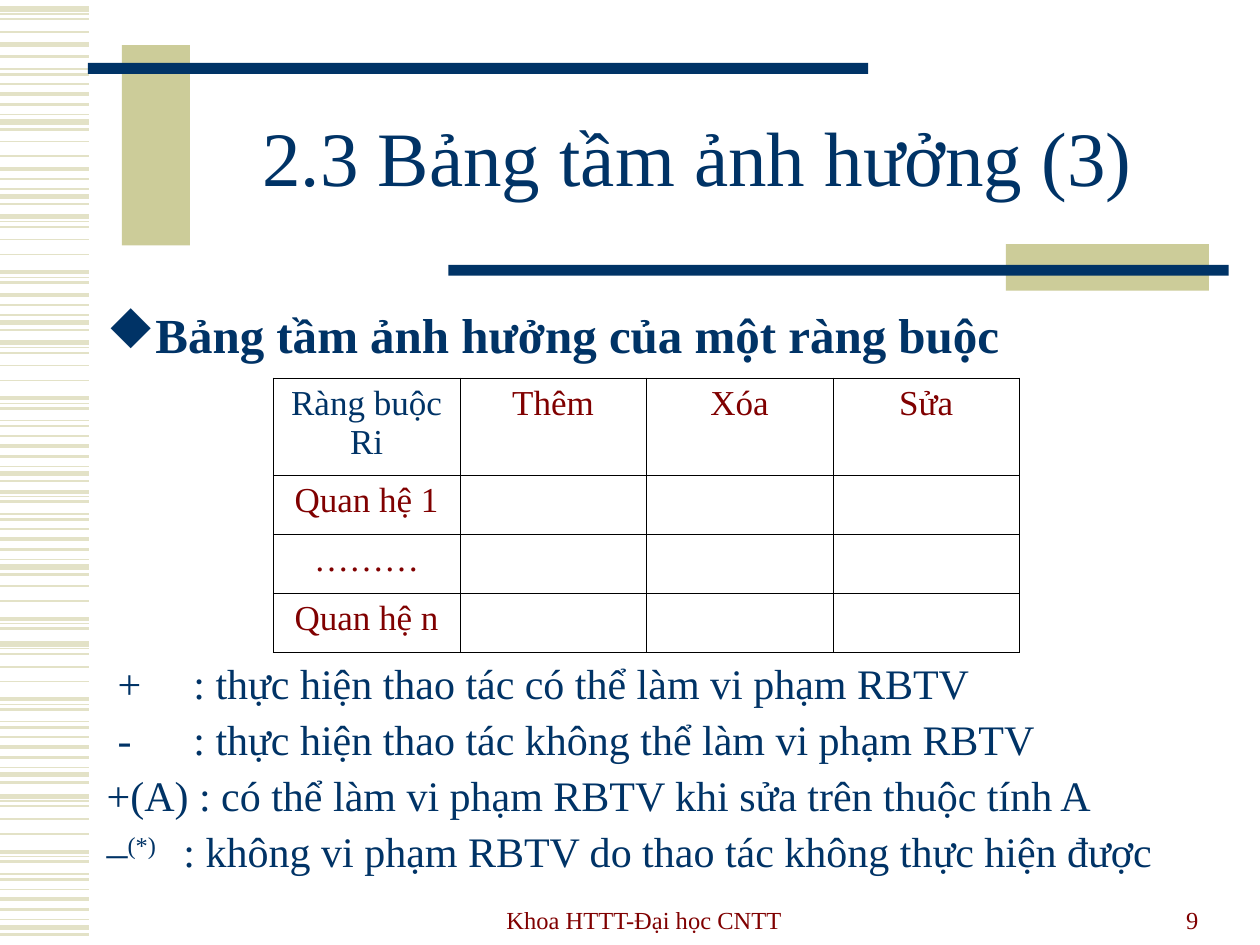
import pptx
import pptx.util
import pptx.dml.color
import pptx.enum.shapes
import pptx.enum.text
import pptx.oxml.ns
from lxml import etree

Cm = pptx.util.Cm
Pt = pptx.util.Pt
ALIGN = pptx.enum.text.PP_ALIGN
ANCHOR = pptx.enum.text.MSO_ANCHOR
FONT = "Times New Roman"
NAVY, MAROON, KHAKI, PALE, BLACK = "003366", "800000", "CCCC99", "E3E2C7", "000000"

STRIPES = [(0, 3), (0.1, 0.75), (0.2, 1), (0.46, 1), (0.76, 1), (1.12, 2.25),
           (1.22, 0.75), (1.32, 1.5), (1.57, 0.75), (1.68, 1.5), (1.88, 1),
           (2.08, 2.25), (2.29, 1.5), (2.49, 0.75), (2.64, 3), (2.79, 1.5)]
STRIPE_RUNS = [(0.18, 0, 4), (0.89, 0, 1), (-0.18, 7, 16), (2.39, 3, 5),
               (1.32, 11, 16), (4.37, 0, 8), (3.86, 11, 16), (6.91, 0, 16),
               (8.79, 5, 16), (11.35, 3, 8), (12.98, 0, 16), (16.05, 0, 16)]
BARS = [(2.46, 0.91, 1.37, 4.04, KHAKI), (1.77, 1.27, 15.73, 0.22, NAVY),
        (20.28, 4.92, 4.09, 0.94, KHAKI), (9.04, 5.34, 15.73, 0.22, NAVY)]
TABLE_ROWS = [["Ràng buộc Ri", "Thêm", "Xóa", "Sửa"],
              ["Quan hệ 1", "", "", ""],
              ["………", "", "", ""],
              ["Quan hệ n", "", "", ""]]
LEGEND = [
    (1.75, -1.53, [("+\t: thực hiện thao tác có thể làm vi phạm RBTV", False)]),
    (1.75, -1.53, [("-\t: thực hiện thao tác không thể làm vi phạm RBTV", False)]),
    (0, 0, [("+(A) : có thể làm vi phạm RBTV khi sửa trên thuộc tính A", False)]),
    (1.55, -1.55, [("–", False), ("(*)", True),
                   ("\t: không vi phạm RBTV do thao tác không thực hiện được", False)]),
]


def color(value):
    """Turn a hex string into a colour."""
    return pptx.dml.color.RGBColor.from_string(value)


def add_run(paragraph, text, size, hue, bold=False, raised=False):
    """Add one formatted run to a paragraph."""
    run = paragraph.add_run()
    run.text = text
    run.font.name = FONT
    run.font.size = Pt(size)
    run.font.bold = bold
    run.font.color.rgb = color(hue)
    if raised:
        run.font._element.set("baseline", "30000")


def set_indent(paragraph, margin, indent):
    """Set the left margin and first-line indent in centimetres."""
    properties = paragraph._p.get_or_add_pPr()
    properties.set("marL", str(Cm(margin)))
    properties.set("indent", str(Cm(indent)))
    return properties


def add_text_frame(slide, box, anchor=ANCHOR.TOP):
    """Add a wrapping text box and return its text frame."""
    frame = slide.shapes.add_textbox(*map(Cm, box)).text_frame
    frame.word_wrap = True
    frame.vertical_anchor = anchor
    return frame


def draw_stripes(slide, box):
    """Fill the left margin with repeated runs of thin stripes."""
    left, top, width, _ = box
    for start, first, last in STRIPE_RUNS:
        for offset, weight in STRIPES[first:last]:
            y = Cm(top + start + offset)
            line = slide.shapes.add_connector(
                pptx.enum.shapes.MSO_CONNECTOR.STRAIGHT, Cm(left), y, Cm(left + width), y)
            line.line.color.rgb = color(PALE)
            line.line.width = Pt(weight)
            etree.SubElement(line._element.spPr, pptx.oxml.ns.qn("a:effectLst"))


def draw_bars(slide, box):
    """Draw the blocks and rules that frame the title."""
    for left, top, width, height, hue in BARS:
        bar = slide.shapes.add_shape(
            pptx.enum.shapes.MSO_SHAPE.RECTANGLE,
            Cm(box[0] + left), Cm(box[1] + top), Cm(width), Cm(height))
        bar.shadow.inherit = False
        bar.fill.solid()
        bar.fill.fore_color.rgb = color(hue)
        bar.line.fill.background()


def place_title(slide, box, text):
    """Move and format the title placeholder."""
    title = slide.shapes.title
    title.left, title.top, title.width, title.height = map(Cm, box)
    frame = title.text_frame
    frame.auto_size = pptx.enum.text.MSO_AUTO_SIZE.NONE
    frame.vertical_anchor = ANCHOR.MIDDLE
    paragraph = frame.paragraphs[0]
    paragraph.alignment = ALIGN.CENTER
    paragraph.line_spacing = 0.85
    add_run(paragraph, text, 44, NAVY)


def add_heading(slide, box, text):
    """Add the heading above the table with a diamond bullet."""
    paragraph = add_text_frame(slide, box).paragraphs[0]
    properties = set_indent(paragraph, 0.97, -0.97)
    paragraph.line_spacing = 0.9
    bullet_color = etree.SubElement(properties, pptx.oxml.ns.qn("a:buClr"))
    etree.SubElement(bullet_color, pptx.oxml.ns.qn("a:srgbClr"), val=NAVY)
    etree.SubElement(properties, pptx.oxml.ns.qn("a:buFont"),
                     typeface="Wingdings", pitchFamily="2", charset="2")
    etree.SubElement(properties, pptx.oxml.ns.qn("a:buChar"), char="u")
    add_run(paragraph, text, 28, NAVY, bold=True)


def add_cell_borders(cell):
    """Draw thin black lines on the four sides of a cell."""
    properties = cell._tc.get_or_add_tcPr()
    for index, side in enumerate(("lnL", "lnR", "lnT", "lnB")):
        line = etree.Element(pptx.oxml.ns.qn("a:" + side), w=str(Pt(0.45)))
        fill = etree.SubElement(line, pptx.oxml.ns.qn("a:solidFill"))
        etree.SubElement(fill, pptx.oxml.ns.qn("a:srgbClr"), val=BLACK)
        properties.insert(index, line)


def add_influence_table(slide, box):
    """Add the table of relations against operations."""
    table = slide.shapes.add_table(len(TABLE_ROWS), len(TABLE_ROWS[0]), *map(Cm, box)).table
    table.first_row = False
    table.horz_banding = False
    header_height = 1.96
    row_height = (box[3] - header_height) / (len(TABLE_ROWS) - 1)
    for row_index, texts in enumerate(TABLE_ROWS):
        table.rows[row_index].height = Cm(row_height if row_index else header_height)
        for column_index, text in enumerate(texts):
            cell = table.cell(row_index, column_index)
            cell.fill.background()
            add_cell_borders(cell)
            if text:
                paragraph = cell.text_frame.paragraphs[0]
                paragraph.alignment = ALIGN.CENTER
                is_corner = row_index == column_index == 0
                add_run(paragraph, text, 20, NAVY if is_corner else MAROON)


def add_legend(slide, box):
    """Explain the symbols used in the table."""
    frame = add_text_frame(slide, box)
    for index, (margin, indent, runs) in enumerate(LEGEND):
        paragraph = frame.add_paragraph() if index else frame.paragraphs[0]
        set_indent(paragraph, margin, indent)
        paragraph.line_spacing = 0.9
        if index:
            paragraph.space_before = Pt(6)
        for text, raised in runs:
            add_run(paragraph, text, 24, NAVY, raised=raised)


def add_footer(slide, box, text, alignment):
    """Add one footer text."""
    paragraph = add_text_frame(slide, box, ANCHOR.BOTTOM).paragraphs[0]
    paragraph.alignment = alignment
    add_run(paragraph, text, 14, MAROON)


def main():
    """Build and save the presentation."""
    presentation = pptx.Presentation()
    presentation.slide_width, presentation.slide_height = Cm(25.4), Cm(19.05)
    slide = presentation.slides.add_slide(presentation.slide_layouts[5])
    draw_stripes(slide, (0, 0, 1.8, 19.05))
    draw_bars(slide, (0, 0, 25.4, 5.86))
    place_title(slide, (3.81, 1.7, 20.5, 3.18), "2.3 Bảng tầm ảnh hưởng (3)")
    add_heading(slide, (1.9, 6.15, 22.1, 1.3), "Bảng tầm ảnh hưởng của một ràng buộc")
    add_influence_table(slide, (5.51, 7.62, 15.04, 5.53))
    add_legend(slide, (1.9, 13.25, 22.1, 4.6))
    add_footer(slide, (8.69, 17.7, 8.59, 1.27), "Khoa HTTT-Đại học CNTT", ALIGN.CENTER)
    add_footer(slide, (18.31, 17.7, 6.1, 1.27), "9", ALIGN.RIGHT)
    presentation.save("out.pptx")


if __name__ == "__main__":
    main()
